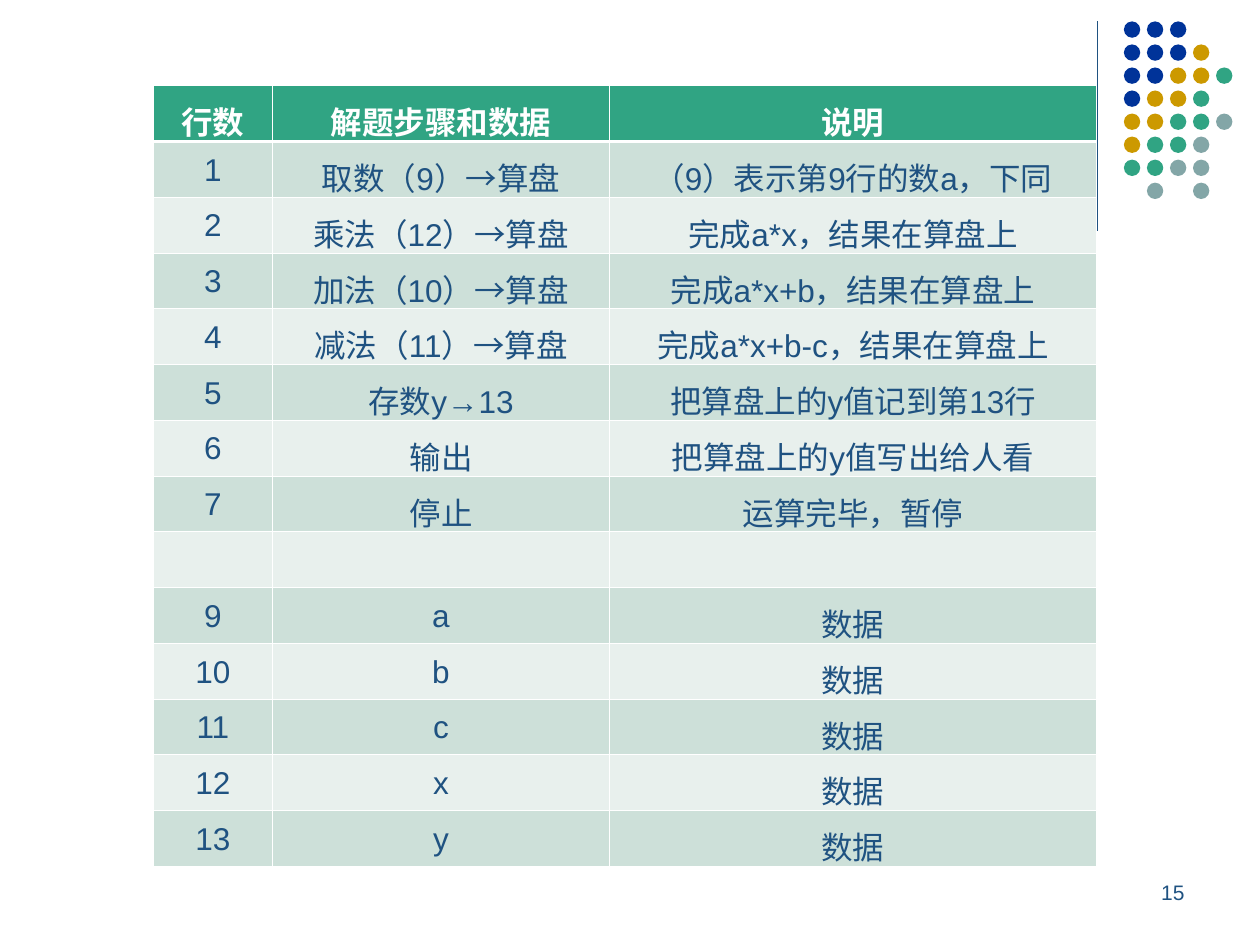
from pptx import Presentation
from pptx.dml.color import RGBColor
from pptx.enum.shapes import MSO_CONNECTOR as Link, MSO_SHAPE as Shape
from pptx.enum.text import MSO_ANCHOR as Anchor, PP_ALIGN as Align
from pptx.oxml.ns import qn
from pptx.util import Inches, Pt
from lxml.etree import SubElement as Sub

NAVY = RGBColor(0x1F, 0x52, 0x81)
BLUE = RGBColor(0x00, 0x33, 0x99)
GOLD = RGBColor(0xCC, 0x99, 0x00)
GREEN = RGBColor(0x30, 0xA4, 0x83)
GRAY = RGBColor(0x83, 0xA6, 0xA7)
MINT = RGBColor(0xCD, 0xE0, 0xD9)
PALE = RGBColor(0xE8, 0xF0, 0xED)
WHITE = RGBColor(0xFF, 0xFF, 0xFF)

ROWS = [
    ("行数", "解题步骤和数据", "说明"),
    ("1", "取数（9）→算盘", "（9）表示第9行的数a，下同"),
    ("2", "乘法（12）→算盘", "完成a*x，结果在算盘上"),
    ("3", "加法（10）→算盘", "完成a*x+b，结果在算盘上"),
    ("4", "减法（11）→算盘", "完成a*x+b-c，结果在算盘上"),
    ("5", "存数y→13", "把算盘上的y值记到第13行"),
    ("6", "输出", "把算盘上的y值写出给人看"),
    ("7", "停止", "运算完毕，暂停"),
    ("", "", ""),
    ("9", "a", "数据"),
    ("10", "b", "数据"),
    ("11", "c", "数据"),
    ("12", "x", "数据"),
    ("13", "y", "数据"),
]
WIDTHS = [0.94, 2.68, 3.86]
HEIGHT = 6.2
DOTS = ["BBB", "BBBY", "BBYYG", "BYYG", "YYGGS", "YGGS", "GGSS", " S S"]
HUES = {"B": BLUE, "Y": GOLD, "G": GREEN, "S": GRAY}
STEP = 1.28 / 7


def style(para, size, color, align, bold=False):
    para.alignment = align
    for run in para.runs:
        font = run.font
        font.name, font.size, font.bold = "Arial", Pt(size), bold
        font.color.rgb = color


def edge(cell, side, width):
    line = Sub(cell._tc.get_or_add_tcPr(), qn("a:" + side), w=str(Pt(width)))
    fill = Sub(line, qn("a:solidFill"))
    Sub(fill, qn("a:srgbClr"), val=str(WHITE))


def add_rule(slide):
    rule = slide.shapes.add_connector(
        Link.STRAIGHT, Inches(8.71), Inches(0.17), Inches(8.71), Inches(1.83))
    rule.line.color.rgb = NAVY
    rule.line.width = Pt(0.75)
    Sub(rule._element.spPr, qn("a:effectLst"))


def add_dots(slide):
    group = slide.shapes.add_group_shape()
    for r, marks in enumerate(DOTS):
        for c, mark in enumerate(marks):
            if mark in HUES:
                dot = group.shapes.add_shape(
                    Shape.OVAL, Inches(8.92 + c * STEP), Inches(0.17 + r * STEP),
                    Inches(0.13), Inches(0.13))
                dot.shadow.inherit = False
                dot.fill.solid()
                dot.fill.fore_color.rgb = HUES[mark]
                dot.line.fill.background()


def add_number(slide):
    box = slide.shapes.add_textbox(
        Inches(7.17), Inches(6.83), Inches(2.33), Inches(0.5))
    frame = box.text_frame
    frame.word_wrap = True
    frame.vertical_anchor = Anchor.MIDDLE
    frame.text = "15"
    style(frame.paragraphs[0], 12, NAVY, Align.RIGHT)


def add_steps(slide):
    table = slide.shapes.add_table(
        len(ROWS), len(WIDTHS), Inches(1.22), Inches(0.68),
        Inches(sum(WIDTHS)), Inches(HEIGHT)).table
    for col, width in zip(table.columns, WIDTHS):
        col.width = Inches(width)
    for r, texts in enumerate(ROWS):
        table.rows[r].height = Inches(HEIGHT / len(ROWS))
        head = r == 0
        for c, text in enumerate(texts):
            cell = table.cell(r, c)
            cell.text = text
            para = cell.text_frame.paragraphs[0]
            para.line_spacing = 1.14
            style(para, 18, WHITE if head else NAVY, Align.CENTER, head)
            for side in ("lnL", "lnR", "lnT", "lnB"):
                thick = (r, side) in ((0, "lnB"), (1, "lnT"))
                edge(cell, side, 1.47 if thick else 0.45)
            cell.fill.solid()
            cell.fill.fore_color.rgb = GREEN if head else (PALE, MINT)[r % 2]


def main():
    deck = Presentation()
    deck.slide_width, deck.slide_height = Inches(10), Inches(7.5)
    slide = deck.slides.add_slide(deck.slide_layouts[6])
    add_rule(slide)
    add_dots(slide)
    add_number(slide)
    add_steps(slide)
    deck.save("out.pptx")


if __name__ == "__main__":
    main()
